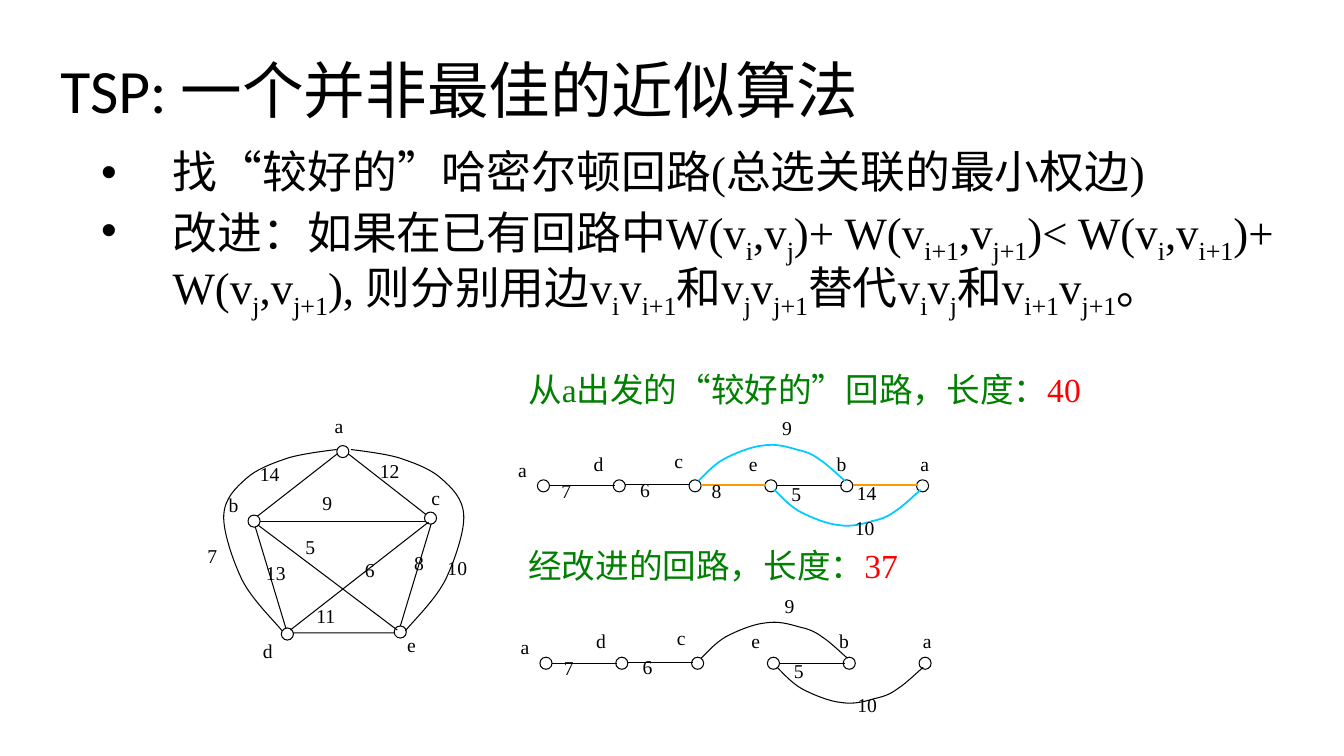
from pptx import Presentation
from pptx.util import Inches, Pt
from pptx.dml.color import RGBColor as Rgb
from pptx.enum.shapes import MSO_CONNECTOR as Link, MSO_SHAPE as Shape
from pptx.enum.text import MSO_ANCHOR as Anchor, PP_ALIGN as Align
from pptx.oxml.ns import qn
from lxml.etree import SubElement as Sub

CELL = Inches(0.1)
HUES = {"ink": "000000", "paper": "FFFFFF", "head": "008000",
        "cost": "FF0000", "old": "FF9900", "new": "00CCFF"}
ROMAN, SANS = "Times New Roman", "Calibri"
DOT, STEP = 1.2, 7.52

BODY = ["找|“|较好的|”|哈密尔顿回路(总选关联的最小权边)",
        "改进\uff1a如果在已有回路中W(v_i_,v_j_)+ W(v_i+1_,v_j+1_)< "
        "W(v_i_,v_i+1_)+ W(v_j_,v_j+1_), 则分别用边v_i_v_i+1_和v_j_v_j+1_"
        "替代v_i_v_j_和v_i+1_v_j+1_。"]

NODES = [(33.4, 44.2), (24.6, 51.1), (42.1, 50.8), (27.9, 62.3), (39.1, 62.1)]
CHORDS = [(25.8, 51.7, 42.2, 51.7), (25.6, 52.1, 39.4, 62.5),
          (28.8, 62.5, 42.5, 51.8)]
MARKS = [("a", 32.2, 40.6), ("b", 21.7, 48.4), ("c", 41.8, 47.7),
         ("d", 25.1, 62.9), ("e", 39.4, 62.3), ("14", 24.8, 45.3),
         ("12", 36.7, 45), ("9", 31, 48.2), ("5", 29.3, 52.6),
         ("6", 35.2, 54.9), ("7", 19.6, 53.5), ("13", 25.4, 55.2),
         ("8", 40.1, 54.2), ("11", 30.4, 59.4), ("10", 43.4, 54.7)]
TOUR = [("a", -2.9, -2.7), ("a", 37, -3.3, 5.4), ("d", 4.6, -3.3),
        ("c", 12.6, -3.6), ("e", 20, -3.3), ("b", 28.7, -3.3),
        ("7", 1.4, -0.6), ("6", 9.2, -0.7), ("5", 24.2, -0.3),
        ("9", 23.3, -6.8), ("10", 30.5, 3.1)]
EXTRA = [("14", 30.7, -0.4), ("8", 16.3, -0.6)]
ARC = [(0, 0), (0.7, 0.7), (1.4, 1.5), (2.4, 2.1), (3.5, 2.7), (5.2, 3.4),
       (6.4, 3.5), (7.6, 3.7), (8.7, 3.4), (9.7, 3.1), (10.6, 2.9),
       (11.2, 2.7), (12, 2.1), (12.8, 1.6), (14, 0.4), (14.5, 0)]
LOOP = [(0, 0), (0.8, 0.1), (3.3, 0.4), (4.7, 0.8), (6.2, 1.3), (7.9, 1.9),
        (9, 2.9), (10, 3.8), (11.1, 4.8), (11.2, 6.5), (11.3, 8.1),
        (10.3, 11), (9.4, 12.9), (8.4, 14.9), (6.2, 17), (5.4, 18)]


def grid(*cells):
    return [round(c * CELL) for c in cells]


def hue(name):
    return Rgb.from_string(HUES[name])


def pen(item, name="ink", width=0.75):
    item.line.color.rgb = hue(name)
    item.line.width = Pt(width)


def style(text, size, font=ROMAN, name="ink"):
    text.font.size = Pt(size)
    text.font.name = font
    text.font.color.rgb = hue(name)


def box(shapes, x, y, w, h):
    frame = shapes.add_textbox(*grid(x, y, w, h)).text_frame
    frame.word_wrap = True
    return frame


def label(shapes, text, x, y, w=8):
    par = box(shapes, x, y, w, 5.7).paragraphs[0]
    par.text = text
    par.alignment = Align.JUSTIFY
    style(par, 14)


def solid(shapes, kind, x, y, w, h):
    item = shapes.add_shape(kind, *grid(x, y, w, h))
    item.shadow.inherit = False
    item.fill.solid()
    item.fill.fore_color.rgb = hue("paper")
    pen(item)


def edge(shapes, x1, y1, x2, y2, *look):
    line = shapes.add_connector(Link.STRAIGHT, *grid(x1, y1, x2, y2))
    pen(line, *look)
    Sub(line._element.spPr, qn("a:effectLst"))


def curve(shapes, x, y, knots, flip_x, flip_y, *look):
    draft = shapes.build_freeform(*grid(x, y))
    draft.add_line_segments(
        [grid(x + flip_x * u, y + flip_y * v) for u, v in knots[1:]],
        close=False)
    item = draft.convert_to_shape()
    item.shadow.inherit = False
    item.fill.background()
    pen(item, *look)
    legs = list(item._element.iter(qn("a:lnTo")))
    track = legs[0].getparent()
    for i in range(0, len(legs), 3):
        bend = Sub(track, qn("a:cubicBezTo"))
        for leg in legs[i:i + 3]:
            bend.append(leg[0])
            track.remove(leg)


def title(shapes):
    frame = box(shapes, 5, 3, 90, 12.5)
    frame.vertical_anchor = Anchor.MIDDLE
    par = frame.paragraphs[0]
    par.text = "TSP: 一个并非最佳的近似算法"
    par.line_spacing = 0.9
    style(par, 44, SANS)


def bullet(par):
    props = par._p.get_or_add_pPr()
    props.set("marL", str(Inches(1.08)))
    props.set("indent", str(Inches(-0.71)))
    Sub(props, qn("a:buFont"), typeface="Arial")
    Sub(props, qn("a:buChar"), char="•")


def point(par, text):
    par.level = 1
    par.line_spacing = 0.9
    par.space_before = Pt(5)
    bullet(par)
    for i, part in enumerate(text.split("_")):
        for bit in part.split("|"):
            run = par.add_run()
            run.text = bit
            style(run, 32, SANS if bit in "“”" else ROMAN)
            if i % 2:
                run.font._element.set("baseline", "-25000")


def body(shapes):
    frame = box(shapes, 5.35, 14.4, 123, 49.5)
    for i, text in enumerate(BODY):
        point(frame.add_paragraph() if i else frame.paragraphs[0], text)


def graph(shapes):
    solid(shapes, Shape.REGULAR_PENTAGON, 25.1, 44.6, 17.8, 18.2)
    for x, y in NODES:
        solid(shapes, Shape.OVAL, x, y, DOT, DOT)
    for ends in CHORDS:
        edge(shapes, *ends)
    curve(shapes, 33.4, 44.6, LOOP, -1, 1)
    curve(shapes, 34.8, 44.6, LOOP, 1, 1)
    for mark in MARKS:
        label(shapes, *mark)


def head(shapes, text, cost, y, w):
    par = box(shapes, 51.4, y, w, 8.8).paragraphs[0]
    par.alignment = Align.JUSTIFY
    for bit, name in ((text, "head"), (cost, "cost")):
        run = par.add_run()
        run.text = bit
        style(run, 24, ROMAN, name)


def chain(shapes, x, y, marks, links, look):
    for i in range(6):
        solid(shapes, Shape.OVAL, x + STEP * i, y, DOT, DOT)
    for i, drop, *tint in links:
        left = x + STEP * i + DOT
        edge(shapes, left, y + drop, left + 6.45, y + drop, *tint)
    curve(shapes, x + 16, y + 0.1, ARC, 1, -1, *look)
    curve(shapes, x + 16 + STEP, y + 1, ARC, 1, 1, *look)
    for text, dx, dy, *w in marks:
        label(shapes, text, x + dx, y + dy, *w)


def main():
    deck = Presentation()
    deck.slide_width, deck.slide_height = Inches(13.33), Inches(7.5)
    shapes = deck.slides.add_slide(deck.slide_layouts[6]).shapes
    title(shapes)
    body(shapes)
    graph(shapes.add_group_shape().shapes)
    kept = [(0, 0.6), (1, 0.5), (3, 0.6)]
    cut = [(2, 0.5, "old", 1.25), (4, 0.5, "old", 1.25)]
    first = shapes.add_group_shape().shapes
    head(first, "从a出发的“较好的”回路\uff0c长度\uff1a", "40", 36.1, 60.2)
    chain(first, 53.3, 47.6, EXTRA + TOUR, kept + cut, ("new", 1.25))
    final = shapes.add_group_shape().shapes
    chain(final, 53.55, 65.2, TOUR, kept, ())
    head(final, "经改进的回路\uff0c长度\uff1a", "37", 53.6, 49.5)
    deck.save("out.pptx")


main()
